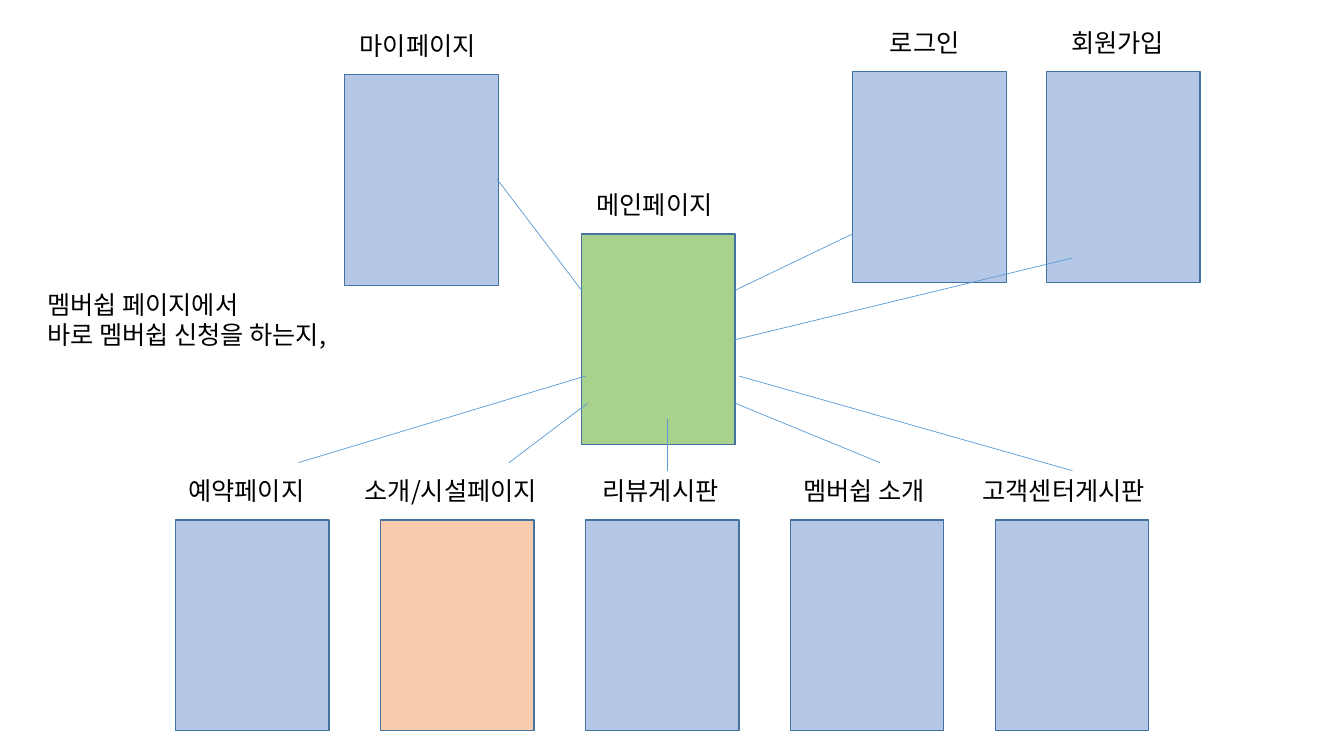
from dataclasses import dataclass

from pptx import Presentation
from pptx.dml.color import RGBColor
from pptx.enum.shapes import MSO_CONNECTOR as Connector, MSO_SHAPE as Shape
from pptx.enum.text import MSO_AUTO_SIZE as AutoSize
from pptx.oxml.ns import qn
from pptx.oxml.xmlchemy import OxmlElement
from pptx.slide import Slide
from pptx.util import Emu, Inches, Pt


# Theme: colours and sizes
@dataclass(frozen=True)
class Theme:
    blue: str = "B4C7E7"
    green: str = "A9D18E"
    orange: str = "F8CBAD"
    border: str = "43739E"
    link: str = "5B9BD5"
    ink: str = "000000"
    font: str = "Noto Sans CJK KR"
    text_size: float = 18
    border_width: float = 1
    link_width: float = 0.5


THEME = Theme()

# Grid: 40 columns by 30 rows over the whole slide
WIDTH, HEIGHT = Inches(13.333), Inches(7.5)
COLUMNS, ROWS = 40, 30
CARD_WIDTH, CARD_HEIGHT = 4.57, 8.36
LABEL_RISE, LABEL_HEIGHT = 1.96, 1.6
TOP_ROW, BOTTOM_ROW = 2.84, 20.64
BOTTOM_LEFT, BOTTOM_PITCH = 5.22, 6.1


def across(columns: float) -> Emu:
    return Emu(round(WIDTH * columns / COLUMNS))


def down(rows: float) -> Emu:
    return Emu(round(HEIGHT * rows / ROWS))


def colour(value: str) -> RGBColor:
    return RGBColor.from_string(value)


@dataclass(frozen=True)
class Card:
    name: str
    column: float
    row: float
    label_shift: float
    label_width: float = 4.38
    fill: str = THEME.blue


@dataclass(frozen=True)
class Link:
    start: tuple[float, float]
    end: tuple[float, float]


def bottom_column(index: int) -> float:
    return BOTTOM_LEFT + index * BOTTOM_PITCH


# Site map content
CARDS = [
    Card("메인페이지", 17.31, 9.28, 0.15, fill=THEME.green),
    Card("예약페이지", bottom_column(0), BOTTOM_ROW, 0.09),
    Card("소개/시설페이지", bottom_column(1), BOTTOM_ROW, -0.76, 6.21, THEME.orange),
    Card("리뷰게시판", bottom_column(2), BOTTOM_ROW, 0.22),
    Card("멤버쉽 소개", bottom_column(3), BOTTOM_ROW, 0.09, 4.65),
    Card("고객센터게시판", bottom_column(4), BOTTOM_ROW, -0.67, 5.91),
    Card("로그인", 25.38, TOP_ROW, 0.81, 2.88),
    Card("회원가입", 31.14, TOP_ROW, 0.45, 3.63),
    Card("마이페이지", 10.26, 2.96, 0.15),
]
LINKS = [
    Link((21.88, 11.52), (25.38, 9.28)),
    Link((21.88, 13.48), (31.92, 10.24)),
    Link((17.43, 14.92), (8.88, 18.36)),
    Link((17.49, 16), (15.15, 18.36)),
    Link((19.86, 16.64), (19.86, 18.68)),
    Link((21.88, 16), (26.19, 18.36)),
    Link((21.99, 14.92), (31.92, 18.68)),
    Link((17.31, 11.52), (14.8, 7.12)),
]
NOTE = "멤버쉽 페이지에서\n바로 멤버쉽 신청을 하는지,"


# Drawing functions
def add_text(page: Slide, text: str, *, column: float, row: float, width: float,
             height: float = LABEL_HEIGHT, size: float = THEME.text_size,
             ink: str = THEME.ink) -> None:
    box = page.shapes.add_textbox(across(column), down(row), across(width), down(height))
    frame = box.text_frame
    frame.word_wrap = False
    frame.auto_size = AutoSize.SHAPE_TO_FIT_TEXT
    frame.text = text
    for para in frame.paragraphs:
        for span in para.runs:
            span.font.name = THEME.font
            span.font.size = Pt(size)
            span.font.color.rgb = colour(ink)
            east_asian = OxmlElement("a:ea")
            east_asian.set("typeface", THEME.font)
            span.font._element.find(qn("a:latin")).addnext(east_asian)


def add_card(page: Slide, card: Card) -> None:
    box = page.shapes.add_shape(Shape.RECTANGLE, across(card.column), down(card.row),
                                across(CARD_WIDTH), down(CARD_HEIGHT))
    box.shadow.inherit = False
    box.fill.solid()
    box.fill.fore_color.rgb = colour(card.fill)
    box.line.color.rgb = colour(THEME.border)
    box.line.width = Pt(THEME.border_width)
    add_text(page, card.name, column=card.column + card.label_shift,
             row=card.row - LABEL_RISE, width=card.label_width)


def add_link(page: Slide, link: Link) -> None:
    (start_column, start_row), (end_column, end_row) = link.start, link.end
    line = page.shapes.add_connector(Connector.STRAIGHT, across(start_column), down(start_row),
                                     across(end_column), down(end_row))
    line.line.color.rgb = colour(THEME.link)
    line.line.width = Pt(THEME.link_width)
    line._element.spPr.append(OxmlElement("a:effectLst"))


def main() -> None:
    deck = Presentation()
    deck.slide_width, deck.slide_height = WIDTH, HEIGHT
    page = deck.slides.add_slide(deck.slide_layouts[6])

    # Pages, side note, then the links on top
    for card in CARDS:
        add_card(page, card)
    add_text(page, NOTE, column=1.11, row=11.28, width=9.9, height=2.84)
    for link in LINKS:
        add_link(page, link)

    deck.save("out.pptx")


if __name__ == "__main__":
    main()
